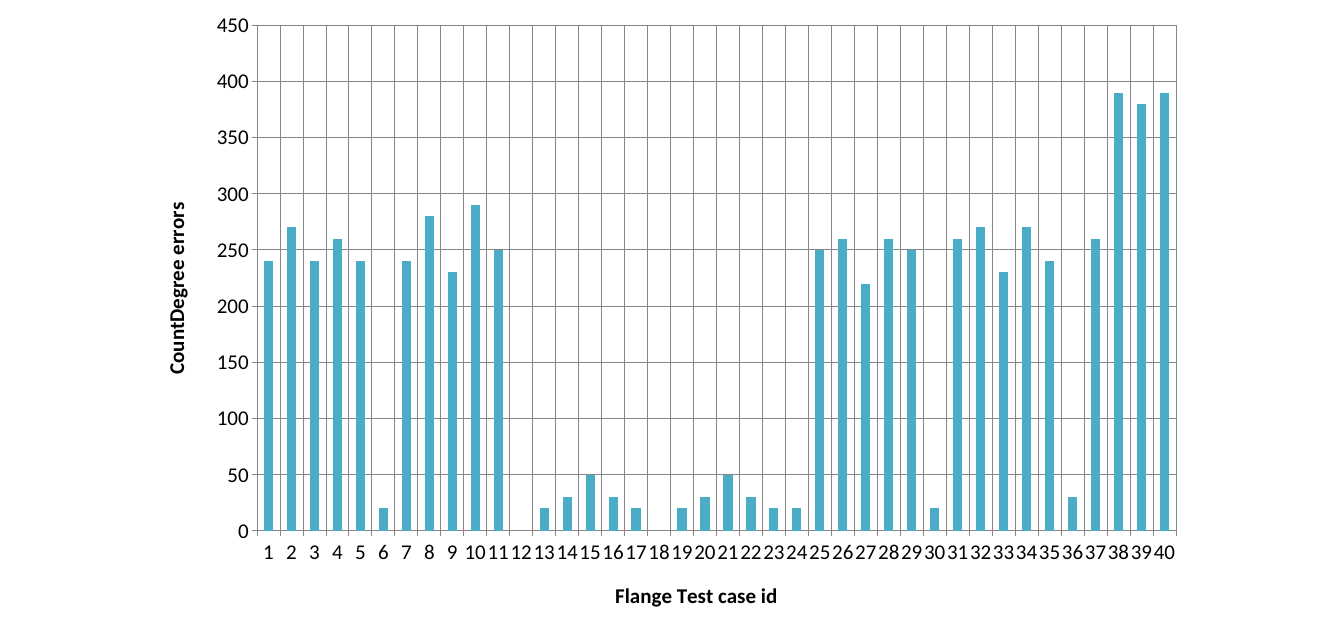
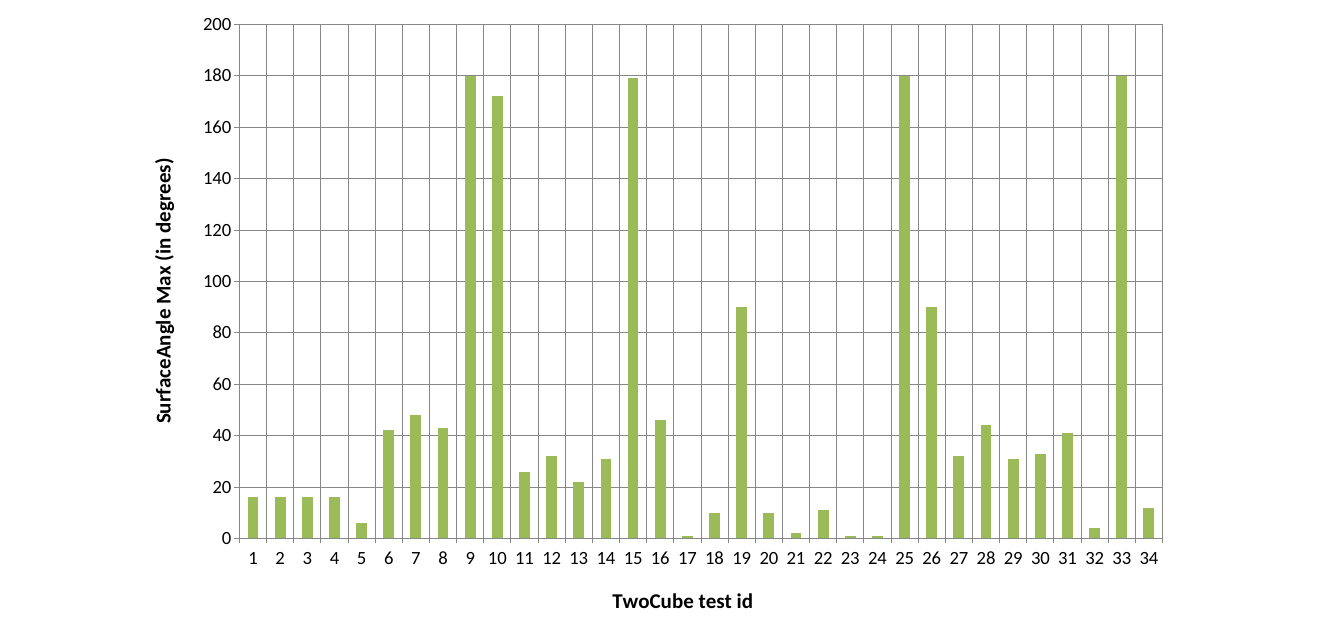
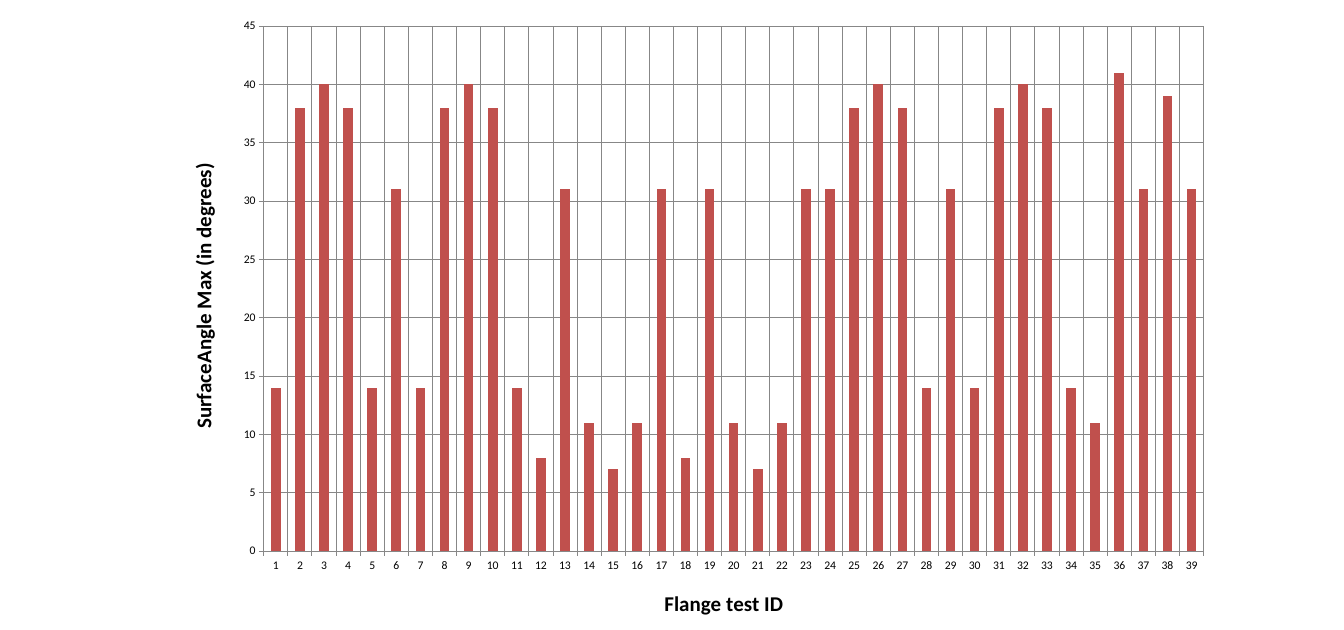
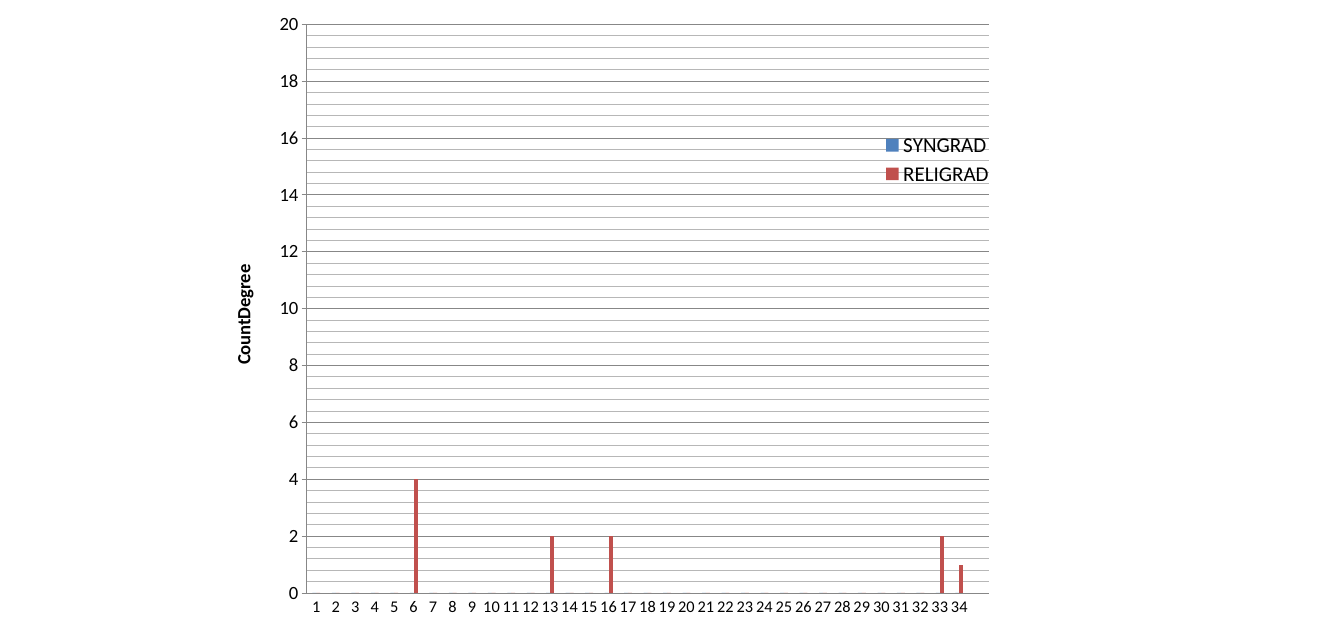
import pptx
import pptx.chart.data
import pptx.dml.color
import pptx.enum.chart
import pptx.oxml
import pptx.oxml.ns
import pptx.util

Inches = pptx.util.Inches
FONT = "Calibri"
COLORS = {
    "text": "000000",
    "axis": "878787",
    "minor grid": "B7B7B7",
    "teal": "4BACC6",
    "green": "9BBB59",
    "red": "C0504D",
    "blue": "4F81BD",
}
LINE_WIDTH = pptx.util.Pt(0.75)

# Boxes are left, top, width, height on the slide, in inches.
# Each series is name, colour, values.
CHARTS = [
    {
        "box": (1.75, 0, 12.5, 7.5),
        "plot": (3.06, 0.3, 10.94, 6.02),
        "category title": ("Flange Test case id", 18),
        "value title": ("CountDegree errors", 18),
        "label sizes": (18, 18),
        "scale": (450, 50),
        "categories": [str(number) for number in range(1, 41)],
        "series": [("Series 1", "teal", [
            240, 270, 240, 260, 240, 20, 240, 280, 230, 290,
            250, 0, 20, 30, 50, 30, 20, 0, 20, 30,
            50, 30, 20, 20, 250, 260, 220, 260, 250, 20,
            260, 270, 230, 270, 240, 30, 260, 390, 380, 390])],
    },
    {
        "box": (1.58, 0, 12.5, 7.5),
        "plot": (2.85, 0.29, 10.99, 6.12),
        "category title": ("TwoCube test id", 18),
        "value title": ("SurfaceAngle Max (in degrees)", 18),
        "label sizes": (16, 16),
        "scale": (200, 20),
        "categories": [str(number) for number in range(1, 35)],
        "series": [("Series 1", "green", [
            16, 16, 16, 16, 6, 42, 48, 43, 180, 172,
            26, 32, 22, 31, 179, 46, 1, 10, 90, 10,
            2, 11, 1, 1, 180, 90, 32, 44, 31, 33,
            41, 4, 180, 12])],
    },
    {
        "box": (2.08, 0.08, 12.5, 7.5),
        "plot": (3.14, 0.31, 11.19, 6.25),
        "category title": ("Flange test ID", 18),
        "value title": ("SurfaceAngle Max (in degrees)", 18),
        "label sizes": (10, 10),
        "scale": (45, 5),
        "categories": [str(number) for number in range(1, 40)],
        "series": [("Series 1", "red", [
            14, 38, 40, 38, 14, 31, 14, 38, 40, 38,
            14, 8, 31, 11, 7, 11, 31, 8, 31, 11,
            7, 11, 31, 31, 38, 40, 38, 14, 31, 14,
            38, 40, 38, 14, 11, 41, 31, 39, 31])],
    },
    {
        "box": (2.54, 0, 10.92, 7.5),
        "plot": (3.65, 0.29, 8.12, 6.77),
        "legend": (10.5, 1.54, 1.32, 0.72),
        "value title": ("CountDegree", 16),
        "label sizes": (14, 16),
        "scale": (20, 2),
        "minor unit": 0.4,
        "gap": 300,
        "categories": [str(number) for number in range(1, 35)] + [""],
        "series": [
            ("SYNGRAD", "blue", [0] * 34 + [None]),
            ("RELIGRAD", "red", [
                0, 0, 0, 0, 0, 4, 0, 0, 0, 0,
                0, 0, 2, 0, 0, 2, 0, 0, 0, 0,
                0, 0, 0, 0, 0, 0, 0, 0, 0, 0,
                0, 0, 2, 1, None]),
        ],
    },
]


def color(name):
    return pptx.dml.color.RGBColor.from_string(COLORS[name])


def set_font(font, size, bold=False):
    font.name = FONT
    font.size = pptx.util.Pt(size)
    font.bold = bold
    font.color.rgb = color("text")


def style_line(line, name):
    line.color.rgb = color(name)
    line.width = LINE_WIDTH


def manual_layout(box, chart_box, target=""):
    """Return a c:layout that puts a slide box at fractions of the chart."""
    left, top, width, height = chart_box
    fractions = {
        "x": (box[0] - left) / width,
        "y": (box[1] - top) / height,
        "w": box[2] / width,
        "h": box[3] / height,
    }
    parts = target + '<c:xMode val="edge"/><c:yMode val="edge"/>'
    parts += "".join(f'<c:{key} val="{value:.4f}"/>' for key, value in fractions.items())
    return pptx.oxml.parse_xml(
        f'<c:layout {pptx.oxml.ns.nsdecls("c")}>'
        f"<c:manualLayout>{parts}</c:manualLayout></c:layout>")


def style_axis(axis, title, label_size, gridlines):
    set_font(axis.tick_labels.font, label_size)
    style_line(axis.format.line, "axis")
    axis.minor_tick_mark = pptx.enum.chart.XL_TICK_MARK.NONE
    axis.major_tick_mark = pptx.enum.chart.XL_TICK_MARK.OUTSIDE
    axis.has_major_gridlines = gridlines
    if gridlines:
        style_line(axis.major_gridlines.format.line, "axis")
    axis.has_title = title is not None
    if title:
        text, size = title
        paragraph = axis.axis_title.text_frame.paragraphs[0]
        paragraph.text = text
        set_font(paragraph.font, size, bold=True)


def add_minor_gridlines(axis, unit):
    axis.minor_unit = unit
    axis.has_minor_gridlines = True
    gridlines = axis._element.find(pptx.oxml.ns.qn("c:minorGridlines"))
    gridlines.append(pptx.oxml.parse_xml(
        f'<c:spPr {pptx.oxml.ns.nsdecls("c", "a")}><a:ln w="{int(LINE_WIDTH)}">'
        f'<a:solidFill><a:srgbClr val="{COLORS["minor grid"]}"/></a:solidFill>'
        "</a:ln></c:spPr>"))


def show_every_label(axis):
    """Keep all category labels level, even when they are tight."""
    element = axis._element
    element.find(pptx.oxml.ns.qn("c:txPr")).bodyPr.set("rot", "0")
    skip = pptx.oxml.parse_xml(
        f'<c:tickLblSkip {pptx.oxml.ns.nsdecls("c")} val="1"/>')
    element.find(pptx.oxml.ns.qn("c:noMultiLvlLbl")).addprevious(skip)


def add_legend(chart, box, chart_box):
    chart.has_legend = True
    legend = chart.legend
    legend.position = pptx.enum.chart.XL_LEGEND_POSITION.RIGHT
    legend.include_in_layout = False
    set_font(legend.font, 18)
    element = legend._element
    for layout in element.findall(pptx.oxml.ns.qn("c:layout")):
        element.remove(layout)
    element.find(pptx.oxml.ns.qn("c:legendPos")).addnext(manual_layout(box, chart_box))


def add_column_chart(slide, content):
    data = pptx.chart.data.CategoryChartData()
    data.categories = content["categories"]
    for name, _, values in content["series"]:
        data.add_series(name, values)
    chart_box = content["box"]
    chart = slide.shapes.add_chart(
        pptx.enum.chart.XL_CHART_TYPE.COLUMN_CLUSTERED,
        *map(Inches, chart_box), data).chart
    chart.has_title = False
    chart.has_legend = False
    set_font(chart.font, 10)

    plot = chart.plots[0]
    plot.vary_by_categories = False
    plot.gap_width = content.get("gap", 150)
    for series, (_, fill_name, _) in zip(plot.series, content["series"]):
        series.format.fill.solid()
        series.format.fill.fore_color.rgb = color(fill_name)

    category_title = content.get("category title")
    category_size, value_size = content["label sizes"]
    category_axis, value_axis = chart.category_axis, chart.value_axis
    style_axis(category_axis, category_title, category_size, category_title is not None)
    if category_title is None:
        category_axis.major_tick_mark = pptx.enum.chart.XL_TICK_MARK.NONE
    show_every_label(category_axis)

    style_axis(value_axis, content["value title"], value_size, True)
    value_axis.minimum_scale = 0
    value_axis.maximum_scale, value_axis.major_unit = content["scale"]
    if "minor unit" in content:
        add_minor_gridlines(value_axis, content["minor unit"])

    plot_area = chart._chartSpace.chart.plotArea
    for layout in plot_area.findall(pptx.oxml.ns.qn("c:layout")):
        plot_area.remove(layout)
    inner = '<c:layoutTarget val="inner"/>'
    plot_area.insert(0, manual_layout(content["plot"], chart_box, inner))
    if "legend" in content:
        add_legend(chart, content["legend"], chart_box)


def main():
    presentation = pptx.Presentation()
    presentation.slide_width = Inches(16)
    presentation.slide_height = Inches(7.5)
    for content in CHARTS:
        slide = presentation.slides.add_slide(presentation.slide_layouts[6])
        add_column_chart(slide, content)
    presentation.save("out.pptx")


if __name__ == "__main__":
    main()
